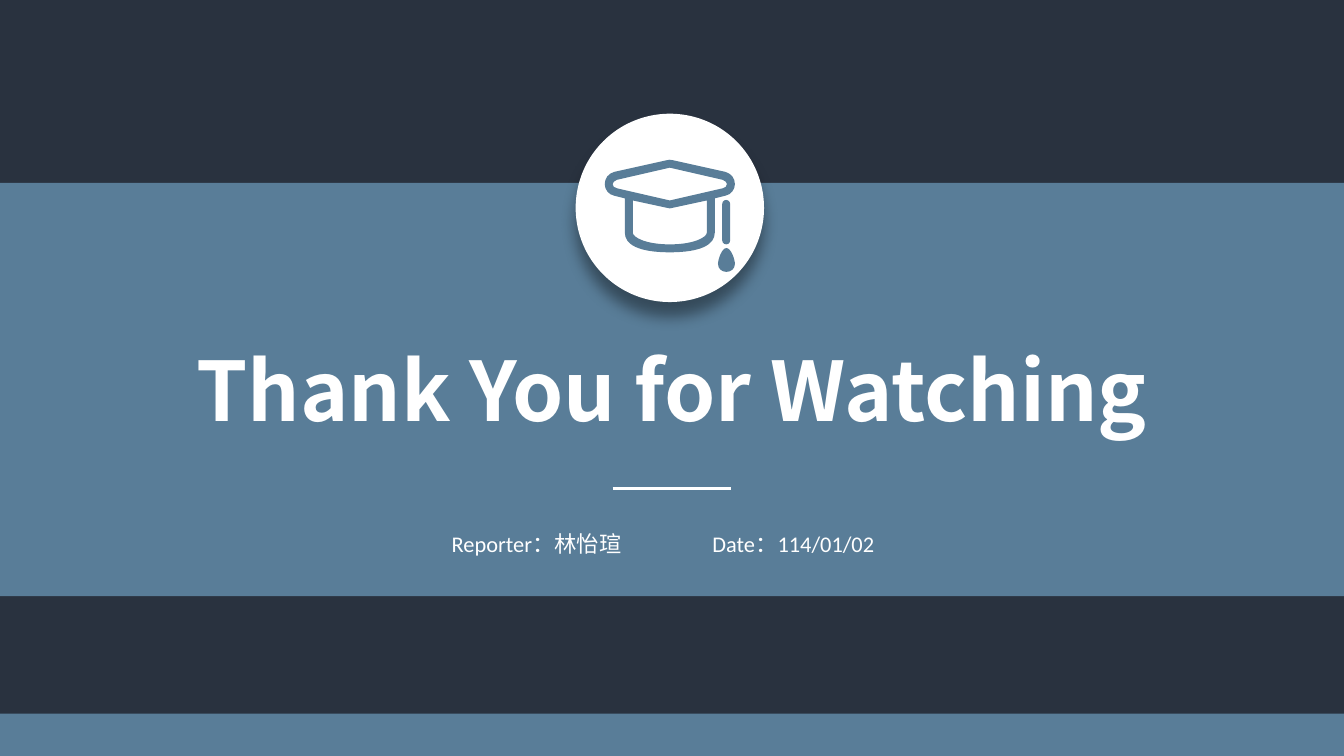
"""Build a closing slide with a graduation cap badge."""
from dataclasses import dataclass

from lxml import etree
from pptx import Presentation
from pptx import util as u
from pptx.dml.color import RGBColor
from pptx.enum import shapes, text
from pptx.oxml.ns import qn


@dataclass(frozen=True)
class Theme:
    """Colours, fonts and type sizes of the slide."""
    dark: str = "29323F"
    blue: str = "597D98"
    white: str = "FFFFFF"
    shade: str = "000000"
    head: str = "Noto Sans CJK SC"
    body: str = "Calibri"
    big: int = 44
    small: int = 12


THEME = Theme()
WIDE, HIGH = 25.4, 14.29
KIND = shapes.MSO_SHAPE
BOARD = [(0, 0), (0.02, 0, 0.04, 0, 0.06, 0.01), (1.05, 0.23),
         (1.16, 0.26, 1.23, 0.35, 1.23, 0.46),
         (1.23, 0.56, 1.16, 0.66, 1.05, 0.68), (0.85, 0.73), (0.85, 1.38),
         (0.85, 1.6, 0.6, 1.75, 0, 1.75)]
TOP = [(0, 0.15), (1, 0.38), (1.05, 0.4, 1.08, 0.43, 1.08, 0.46),
       (1.08, 0.5, 1.05, 0.53, 1, 0.54), (0, 0.77)]
CROWN = [(0, 0.92), (0.02, 0.92, 0.04, 0.92, 0.05, 0.91), (0.7, 0.77),
         (0.7, 1.38), (0.7, 1.46, 0.47, 1.6, 0, 1.6)]
DROP = [(0, 0), (0.09, 0, 0.16, 0.22, 0.16, 0.3),
        (0.16, 0.39, 0.09, 0.45, 0, 0.45)]


def tint(fill, hue):
    """Give a fill one solid colour."""
    fill.solid()
    fill.fore_color.rgb = RGBColor.from_string(hue)


def plain(shape, hue):
    """Make a shape flat, with one colour and no outline."""
    shape.shadow.inherit = False
    tint(shape.fill, hue)
    shape.line.fill.background()
    return shape


def block(parts, kind, box, hue):
    """Add a flat preset shape in a box."""
    return plain(parts.add_shape(kind, *map(u.Cm, box)), hue)


def trace(half):
    """Mirror half an outline; return its points and segment sizes."""
    pts = [seg[k:k + 2] for seg in half for k in range(0, len(seg), 2)]
    sizes = [len(seg) // 2 for seg in half[1:]]
    back = [(-x, y) for x, y in reversed(pts[:-1])]
    return pts + back, sizes + sizes[::-1]


def curve(shape, sizes):
    """Join each run of three line points into one curve."""
    lines = iter(list(shape._element.iter(qn("a:lnTo"))))
    for size in sizes:
        first = next(lines)
        if size == 3:
            first.tag = qn("a:cubicBezTo")
            for _ in range(2):
                more = next(lines)
                first.append(more[0])
                more.getparent().remove(more)


def draw(parts, mid, top, halves, hue):
    """Add a mirrored outline, with later halves as holes."""
    pen, sizes = None, []
    for half in halves:
        pts, part = trace(half)
        pts = [(u.Cm(mid + x), u.Cm(top + y)) for x, y in pts]
        if pen:
            pen.move_to(*pts[0])
        else:
            pen = parts.build_freeform(*pts[0])
        pen.add_line_segments(pts[1:], close=True)
        sizes += part
    curve(plain(pen.convert_to_shape(), hue), sizes)


def shade(shape):
    """Cast a soft shadow straight down."""
    effect = shape._element.spPr.find(qn("a:effectLst"))
    cast = etree.SubElement(effect, qn("a:outerShdw"), blurRad=str(u.Pt(8)),
                            dist=str(u.Pt(8)), dir="5400000",
                            algn="t", rotWithShape="0")
    hue = etree.SubElement(cast, qn("a:srgbClr"), val=THEME.shade)
    etree.SubElement(hue, qn("a:alpha"), val="40000")


def badge(slide, box):
    """Place the white disc and the cap in a square box."""
    left, top, size = box[:3]
    shade(block(slide.shapes, KIND.OVAL, box, THEME.white))
    cap = slide.shapes.add_group_shape().shapes
    mid = left + size / 2
    draw(cap, mid, top + 0.87, [BOARD, TOP, CROWN], THEME.blue)
    cord = (mid + 0.99, top + 1.63, 0.15, 0.84)
    bar = block(cap, KIND.ROUNDED_RECTANGLE, cord, THEME.blue)
    bar.adjustments[0] = 0.5
    draw(cap, mid + 1.07, top + 2.54, [DROP], THEME.blue)


def label(slide, box, words, size, face, bold=False, wrap=True):
    """Add one centred line of white text in a box."""
    frame = slide.shapes.add_textbox(*map(u.Cm, box)).text_frame
    frame.word_wrap = wrap
    frame.auto_size = text.MSO_AUTO_SIZE.SHAPE_TO_FIT_TEXT
    para = frame.paragraphs[0]
    para.alignment = text.PP_ALIGN.CENTER
    run = para.add_run()
    run.text = words
    font = run.font
    font.name, font.size, font.bold = face, u.Pt(size), bold
    font.color.rgb = RGBColor.from_string(THEME.white)


def rule(slide, left, top, width):
    """Add a thin white line."""
    ends = map(u.Cm, (left, top, left + width, top))
    line = slide.shapes.add_connector(shapes.MSO_CONNECTOR.STRAIGHT, *ends)
    line.line.width = u.Pt(1.5)
    tint(line.line.fill, THEME.white)
    etree.SubElement(line._element.spPr, qn("a:effectLst"))


def panel(slide, box):
    """Place the main band with title, rule and details."""
    left, top, width = box[:3]
    mid = left + width / 2
    block(slide.shapes, KIND.RECTANGLE, box, THEME.blue)
    label(slide, (mid - 9.65, top + 2.84, 19.3, 2.14),
          "Thank You for Watching", THEME.big, THEME.head, True, False)
    badge(slide, (mid - 1.82, top - 1.31, 3.56, 3.56))
    rule(slide, mid - 1.12, top + 5.77, 2.24)
    for col, words in enumerate(("Reporter：林怡瑄", "Date：114/01/02")):
        label(slide, (mid - 4.84 + col * 4.85, top + 6.43, 4.57, 0.76),
              words, THEME.small, THEME.body)


def main():
    """Build and save the slide."""
    deck = Presentation()
    deck.slide_width, deck.slide_height = u.Cm(WIDE), u.Cm(HIGH)
    slide = deck.slides.add_slide(deck.slide_layouts[6])
    tint(slide.background.fill, THEME.dark)
    foot = (0, HIGH - 0.8, WIDE, 0.8)
    block(slide.shapes, KIND.RECTANGLE, foot, THEME.blue)
    panel(slide, (0, 3.46, WIDE, 7.81))
    deck.save("out.pptx")


if __name__ == "__main__":
    main()
